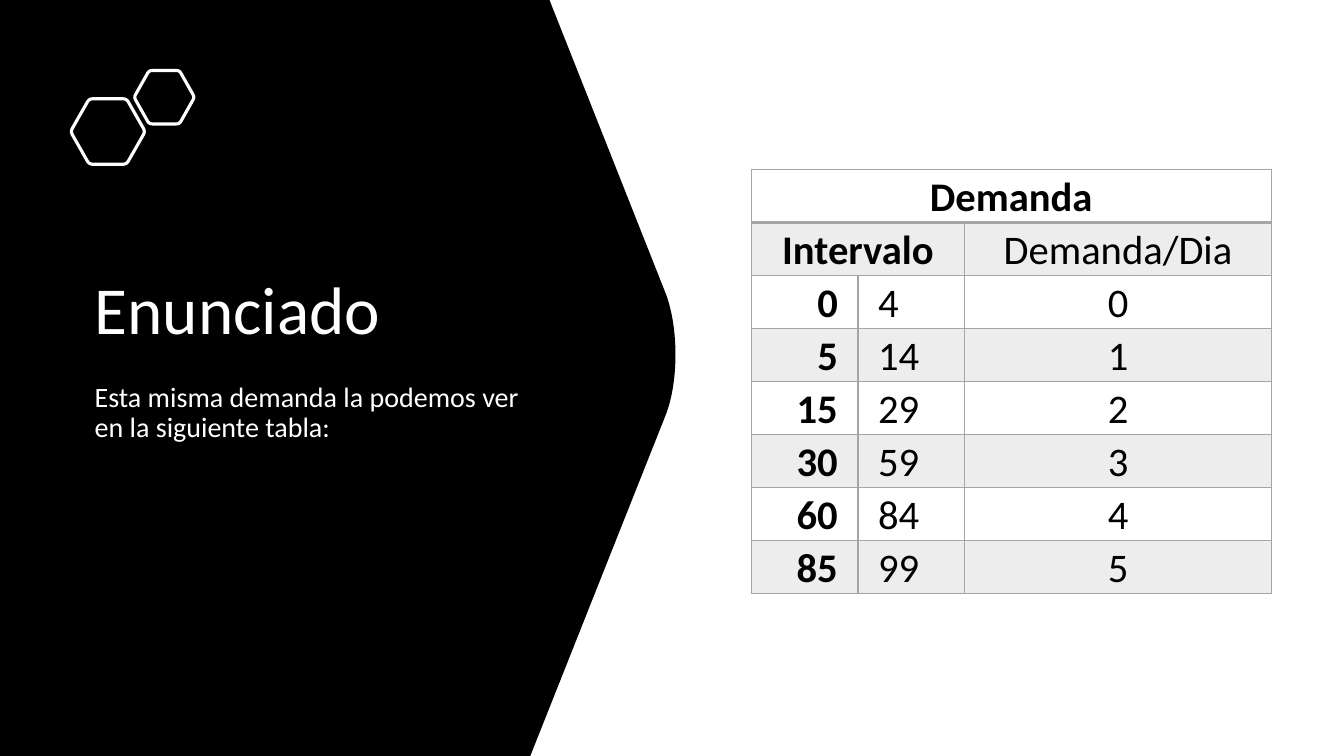
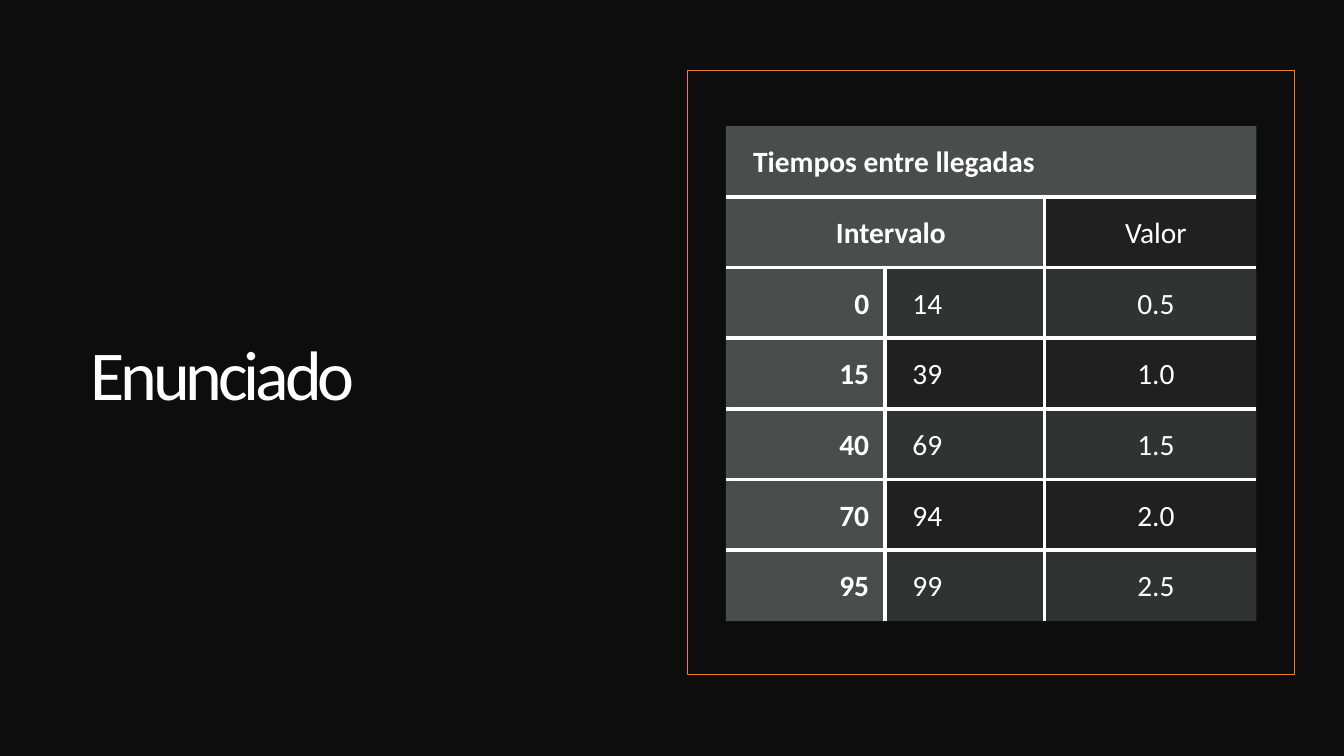
import lxml.etree
import pptx
import pptx.dml.color
import pptx.enum.shapes
import pptx.enum.text
import pptx.oxml.ns
import pptx.util

Inches = pptx.util.Inches
Pt = pptx.util.Pt
RGBColor = pptx.dml.color.RGBColor
Align = pptx.enum.text.PP_ALIGN
Anchor = pptx.enum.text.MSO_ANCHOR
qn = pptx.oxml.ns.qn

THEME = {
    "font": "Calibri",
    "black": "000000", "white": "FFFFFF", "night": "0D0D0D", "orange": "ED7D31",
    "silver": "A5A5A5", "slate": "636B68", "mist": "878E8B",
    "title": 48, "title_large": 50, "body": 20, "table": 29, "table_small": 21,
}
NO_TABLE_STYLE = "{2D5ABB26-0587-4C30-8999-92F81FD0307C}"


def write_text(text_frame, text, size, color, bold=False, align=Align.LEFT, spacing=0.9):
    """Fill a text frame with one formatted paragraph."""
    text_frame.word_wrap = True
    paragraph = text_frame.paragraphs[0]
    run = paragraph.add_run()
    run.text = text
    for name, value in {"alignment": align, "line_spacing": spacing}.items():
        setattr(paragraph, name, value)
    for name, value in {"name": THEME["font"], "size": Pt(size), "bold": bold}.items():
        setattr(run.font, name, value)
    run.font.color.rgb = RGBColor.from_string(THEME[color])
    return run


def style_shape(shape, fill=None, line=None, width=1):
    """Give a shape a plain fill and line, or none, and no shadow."""
    shape.shadow.inherit = False
    if fill:
        shape.fill.solid()
        shape.fill.fore_color.rgb = RGBColor.from_string(THEME[fill])
    else:
        shape.fill.background()
    if line:
        shape.line.color.rgb = RGBColor.from_string(THEME[line])
        shape.line.width = Pt(width)
    else:
        shape.line.fill.background()


presentation = pptx.Presentation()
presentation.slide_width = Inches(13.33)
presentation.slide_height = Inches(7.5)
title_only = presentation.slide_layouts[5]
demand_slide, arrivals_slide = [presentation.slides.add_slide(title_only) for _ in range(2)]

# Demand slide: black panel with a rounded tip
tip_top, tip_bottom, tip_edge, tip_pull = 2.93, 4.10, 6.61, 6.73
panel_points = [(0, 0), (5.45, 0)]
for step in range(25):
    t = step / 24
    bulge = 3 * t * (1 - t)
    panel_points.append((
        tip_edge + bulge * (tip_pull - tip_edge),
        tip_top * (1 - t) ** 3 + bulge * (3.27 * (1 - t) + 3.77 * t) + tip_bottom * t ** 3,
    ))
panel_points += [(5.26, 7.5), (0, 7.5)]

# Demand slide: two hexagons with rounded corners
outlines = [(panel_points, {"fill": "black"})]
corners = [(0, 0.5), (0.25, 0), (0.75, 0), (1, 0.5), (0.75, 1), (0.25, 1)]
for left, top, width, height in [(0.7, 0.98, 0.74, 0.65), (1.33, 0.7, 0.6, 0.53)]:
    hexagon_points = []
    for index, corner in enumerate(corners):
        before, after = corners[index - 1], corners[(index + 1) % 6]
        for step in range(7):
            t = step / 6
            x, y = [
                c + 0.1 * ((1 - t) ** 2 * (b - c) + t ** 2 * (a - c))
                for b, c, a in zip(before, corner, after)
            ]
            hexagon_points.append((left + x * width, top + y * height))
    outlines.append((hexagon_points, {"line": "white", "width": 2.25}))

for points, look in outlines:
    vertices = [(Inches(x), Inches(y)) for x, y in points]
    builder = demand_slide.shapes.build_freeform(*vertices[0])
    builder.add_line_segments(vertices[1:], close=True)
    style_shape(builder.convert_to_shape(), **look)

# Demand slide: introduction
introduction = demand_slide.shapes.add_textbox(Inches(0.84), Inches(3.75), Inches(4.46), Inches(3))
write_text(introduction.text_frame, "Esta misma demanda la podemos ver en la siguiente tabla:",
           THEME["body"], "white")

# Arrivals slide: dark backdrop and table frame
for box, look in [
    ((0, 0, 13.33, 7.5), {"fill": "night"}),
    ((6.82, 0.7, 6.02, 5.99), {"line": "orange"}),
]:
    rectangle = arrivals_slide.shapes.add_shape(
        pptx.enum.shapes.MSO_SHAPE.RECTANGLE, *[Inches(length) for length in box])
    style_shape(rectangle, **look)

# Titles, brought in front of the backdrops
for slide, box, size, tracking in [
    (demand_slide, (0.84, 1.13, 4.54, 2.38), "title", 0),
    (arrivals_slide, (0.8, 1.56, 5.87, 2.61), "title_large", -3),
]:
    title = slide.shapes.title
    slide.shapes.element.append(title.element)
    for name, length in zip(("left", "top", "width", "height"), box):
        setattr(title, name, Inches(length))
    title.text_frame.auto_size = pptx.enum.text.MSO_AUTO_SIZE.NONE
    title.text_frame.vertical_anchor = Anchor.BOTTOM
    run = write_text(title.text_frame, "Enunciado", THEME[size], "white")
    if tracking:
        run.font._element.set("spc", str(tracking * 100))

# Tables: fills are (colour, opacity in percent); bands are for even and odd rows
tables = [
    {
        "slide": demand_slide, "box": (7.45, 1.68, 5.16, 4.13), "columns": (1.06, 1.06, 3.04),
        "rows": [("Demanda", "", ""), ("Intervalo", "", "Demanda/Dia"),
                 ("0", "4", "0"), ("5", "14", "1"), ("15", "29", "2"),
                 ("30", "59", "3"), ("60", "84", "4"), ("85", "99", "5")],
        "size": "table", "color": "black", "caption_align": Align.CENTER,
        "insets": (0.2, 0, 0.2, 0),
        "heading": None, "bands": (None, ("silver", 20)),
        "line": "silver", "line_width": 1, "caption_line": 2, "outer": True,
    },
    {
        "slide": arrivals_slide, "box": (7.2, 1.25, 5.26, 4.89), "columns": (1.58, 1.58, 2.1),
        "rows": [("Tiempos entre llegadas", "", ""), ("Intervalo", "", "Valor"),
                 ("0", "14", "0.5"), ("15", "39", "1.0"), ("40", "69", "1.5"),
                 ("70", "94", "2.0"), ("95", "99", "2.5")],
        "size": "table_small", "color": "white", "caption_align": Align.LEFT,
        "insets": (0.27, 0.16, 0.16, 0.16),
        "heading": ("slate", 70), "bands": (("mist", 30), ("mist", 15)),
        "line": "white", "line_width": 3, "caption_line": 3, "outer": False,
    },
]
for spec in tables:
    row_count, column_count = len(spec["rows"]), len(spec["columns"])
    frame = spec["slide"].shapes.add_table(
        row_count, column_count, *[Inches(length) for length in spec["box"]])
    table = frame.table
    table.first_row = table.horz_banding = False
    next(frame.element.iter(qn("a:tableStyleId"))).text = NO_TABLE_STYLE
    for column, width in zip(table.columns, spec["columns"]):
        column.width = Inches(width)
    for row in table.rows:
        row.height = Inches(spec["box"][3] / row_count)
    table.cell(0, 0).merge(table.cell(0, 2))
    table.cell(1, 0).merge(table.cell(1, 1))

    for row_index, texts in enumerate(spec["rows"]):
        for column_index, text in enumerate(texts):
            cell = table.cell(row_index, column_index)
            is_heading = row_index == 0 or column_index == 0
            for side, inset in zip(("left", "top", "right", "bottom"), spec["insets"]):
                setattr(cell, "margin_" + side, Inches(inset))

            # Borders: none inside a merged cell, outer ones only where wanted
            outer = spec["outer"]
            end = column_index + (cell.span_width if cell.is_merge_origin else 1)
            at_right = end == column_count
            runs_on = not at_right and table.cell(row_index, end).is_spanned
            drawn = {
                "a:lnL": (outer or column_index > 0) and not cell.is_spanned,
                "a:lnR": (outer or not at_right) and not runs_on,
                "a:lnT": outer or row_index > 0,
                "a:lnB": outer or row_index < row_count - 1,
            }
            properties = cell._tc.get_or_add_tcPr()
            for tag, visible in drawn.items():
                under_caption = (row_index, tag) in [(0, "a:lnB"), (1, "a:lnT")]
                width = spec["caption_line" if under_caption else "line_width"]
                border = lxml.etree.SubElement(properties, qn(tag), w=str(Pt(width)))
                if visible:
                    paint = lxml.etree.SubElement(border, qn("a:solidFill"))
                    lxml.etree.SubElement(paint, qn("a:srgbClr"), val=THEME[spec["line"]])
                else:
                    lxml.etree.SubElement(border, qn("a:noFill"))

            # Fill with its opacity
            is_tinted_heading = spec["heading"] and (is_heading or cell.is_spanned)
            fill = spec["heading"] if is_tinted_heading else spec["bands"][row_index % 2]
            if fill:
                color, opacity = fill
                cell.fill.solid()
                cell.fill.fore_color.rgb = RGBColor.from_string(THEME[color])
                paint = properties.find(qn("a:solidFill")).find(qn("a:srgbClr"))
                lxml.etree.SubElement(paint, qn("a:alpha"), val=str(opacity * 1000))
            else:
                cell.fill.background()

            # Text
            if text:
                if row_index == 0:
                    align = spec["caption_align"]
                elif row_index == 1:
                    align = Align.CENTER
                else:
                    align = (Align.RIGHT, Align.LEFT, Align.CENTER)[column_index]
                write_text(cell.text_frame, text, THEME[spec["size"]], spec["color"],
                           bold=is_heading, align=align, spacing=1.07)

presentation.save("out.pptx")
